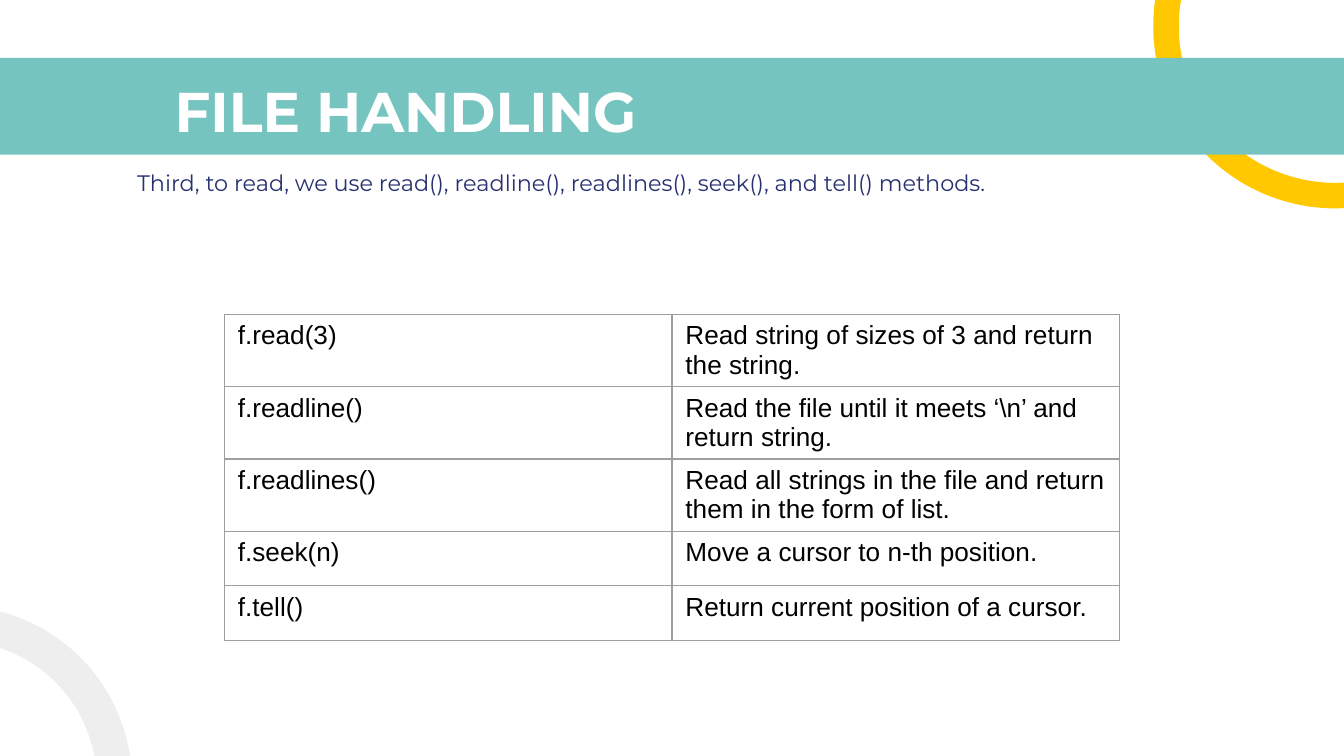
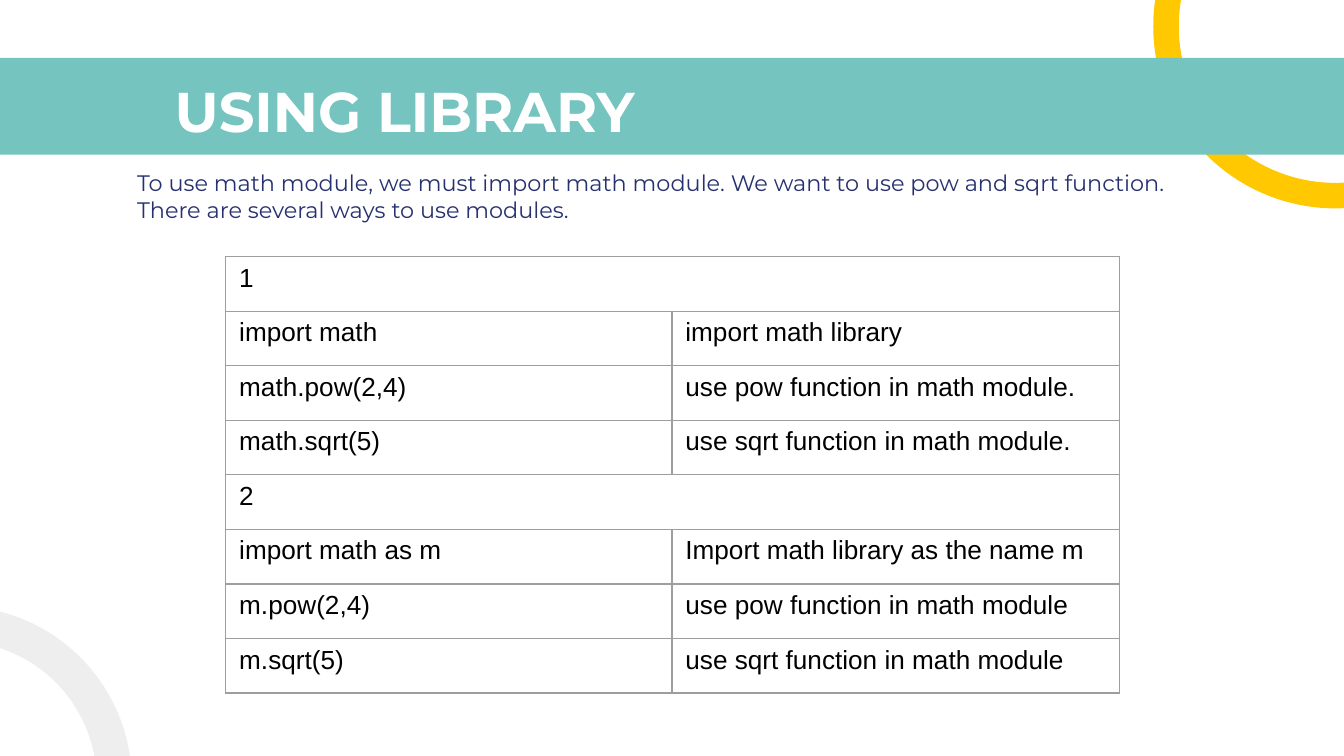
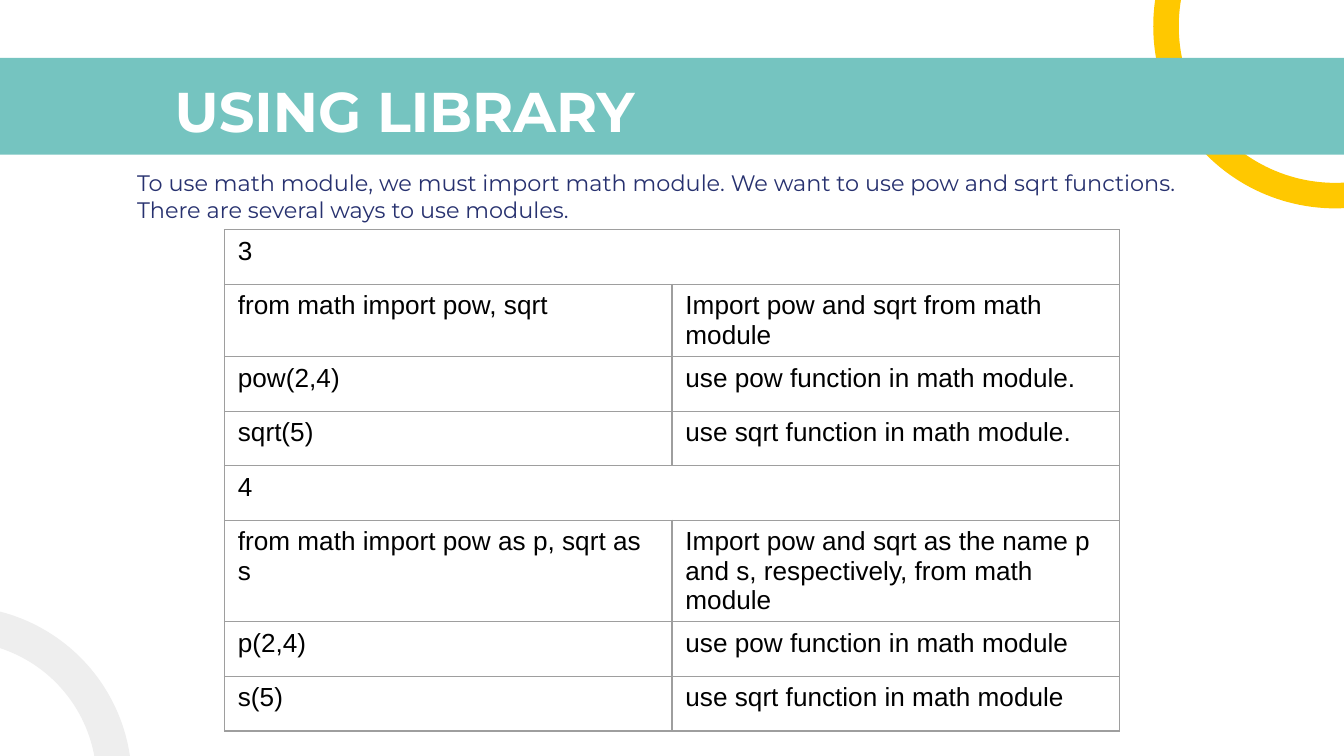
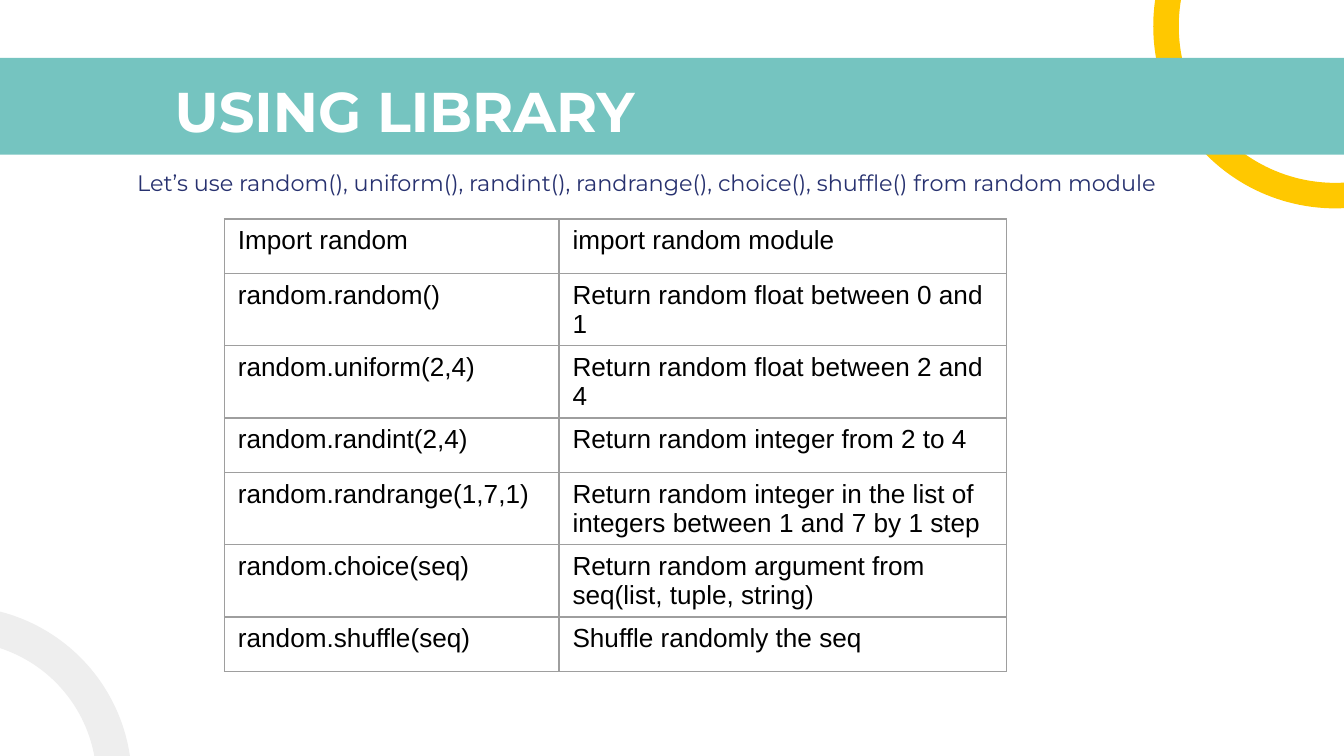
"""Build four slides on file handling and library use, with one table each."""
import pptx
import pptx.dml.color
import pptx.enum.shapes
import pptx.enum.text
import pptx.oxml
import pptx.oxml.ns
import pptx.util

Inches = pptx.util.Inches
Pt = pptx.util.Pt
KIND = pptx.enum.shapes.MSO_SHAPE

TEAL, GOLD, PALE = "75C4C0", "FFC800", "EEEEEE"
WHITE, NAVY, BLACK, GREY = "FFFFFF", "27316F", "000000", "9E9E9E"
HEAD = {"name": "Montserrat", "size": 30, "shade": WHITE, "bold": True}
LEAD = {"name": "Montserrat", "size": 12, "shade": NAVY}
CELL = {"name": "Arial", "size": 14, "shade": BLACK}
WIDTH, HEIGHT = 10, 10 * 9 / 16
TITLE_BOX = (1.2, 0.47, 8.46, 0.63)
LEAD_BOX = (0.77, 1.16, 8.46, 0.55)
ROW = 3.25 / 8

DECOR = [
    (KIND.BLOCK_ARC, (8.58, -1.16, 2.71, 2.71), GOLD, 180, (159.04, 7.23, 0.07)),
    (KIND.RECTANGLE, (-0.17, 0.43, 10.34, 0.72), TEAL, 0, ()),
    (KIND.BLOCK_ARC, (-1.63, 4.51, 2.61, 2.61), PALE, 74.3, (125.82, 166.85, 0.1)),
]

SLIDES = [
    {
        "title": "FILE HANDLING",
        "lead": ["Third, to read, we use read(), readline(), readlines(), seek(), and tell() methods."],
        "at": (1.67, 2.34),
        "cols": (3.33, 3.33),
        "rows": [
            ("f.read(3)", "Read string of sizes of 3 and return the string."),
            ("f.readline()", "Read the file until it meets ‘\\n’ and return string."),
            ("f.readlines()", "Read all strings in the file and return them in the form of list."),
            ("f.seek(n)", "Move a cursor to n-th position."),
            ("f.tell()", "Return current position of a cursor."),
        ],
    },
    {
        "title": "USING LIBRARY",
        "lead": [
            "To use math module, we must import math module. We want to use pow and sqrt function.",
            "There are several ways to use modules.",
        ],
        "at": (1.68, 1.91),
        "cols": (3.32, 3.33),
        "rows": [
            ("1",),
            ("import math", "import math library"),
            ("math.pow(2,4)", "use pow function in math module."),
            ("math.sqrt(5)", "use sqrt function in math module."),
            ("2",),
            ("import math as m", "Import math library as the name m"),
            ("m.pow(2,4)", "use pow function in math module"),
            ("m.sqrt(5)", "use sqrt function in math module"),
        ],
    },
    {
        "title": "USING LIBRARY",
        "lead": [
            "To use math module, we must import math module. We want to use pow and sqrt functions.",
            "There are several ways to use modules.",
        ],
        "at": (1.67, 1.71),
        "cols": (3.33, 3.33),
        "rows": [
            ("3",),
            ("from math import pow, sqrt", "Import pow and sqrt from math module"),
            ("pow(2,4)", "use pow function in math module."),
            ("sqrt(5)", "use sqrt function in math module."),
            ("4",),
            ("from math import pow as p, sqrt as s",
             "Import pow and sqrt as the name p and s, respectively, from math module"),
            ("p(2,4)", "use pow function in math module"),
            ("s(5)", "use sqrt function in math module"),
        ],
    },
    {
        "title": "USING LIBRARY",
        "lead": ["Let’s use random(), uniform(), randint(), randrange(), choice(), shuffle() from random module"],
        "at": (1.67, 1.63),
        "cols": (2.49, 3.33),
        "rows": [
            ("Import random", "import random module"),
            ("random.random()", "Return random float between 0 and 1"),
            ("random.uniform(2,4)", "Return random float between 2 and 4"),
            ("random.randint(2,4)", "Return random integer from 2 to 4"),
            ("random.randrange(1,7,1)",
             "Return random integer in the list of integers between 1 and 7 by 1 step"),
            ("random.choice(seq)", "Return random argument from seq(list, tuple, string)"),
            ("random.shuffle(seq)", "Shuffle randomly the seq"),
        ],
    },
]


def paint(target, shade):
    target.rgb = pptx.dml.color.RGBColor.from_string(shade)


def style(frame, name, size, shade, bold=False):
    for para in frame.paragraphs:
        para.alignment = pptx.enum.text.PP_ALIGN.LEFT
        para.space_before = Pt(0)
        para.font.name = name
        para.font.size = Pt(size)
        para.font.bold = bold
        paint(para.font.color, shade)


def add_decor(slide, layout):
    for depth, (kind, box, shade, turn, bends) in enumerate(DECOR):
        shape = slide.shapes.add_shape(kind, *map(Inches, box))
        shape.shadow.inherit = False
        shape.rotation = turn
        shape.fill.solid()
        paint(shape.fill.fore_color, shade)
        shape.line.fill.background()
        for spot, value in enumerate(bends):
            shape.adjustments[spot] = value
        layout.element.cSld.spTree.insert(2 + depth, shape.element)


def fill_box(shape, box, text, look):
    shape.left, shape.top, shape.width, shape.height = map(Inches, box)
    frame = shape.text_frame
    frame.text = text
    frame.word_wrap = True
    frame.auto_size = pptx.enum.text.MSO_AUTO_SIZE.NONE
    frame.vertical_anchor = pptx.enum.text.MSO_ANCHOR.TOP
    frame.margin_left = frame.margin_right = Inches(0.1)
    frame.margin_top = frame.margin_bottom = Inches(0.1)
    style(frame, **look)
    return frame


def hang(frame):
    for para in frame.paragraphs:
        props = para._p.get_or_add_pPr()
        props.set("marL", str(Inches(0.5)))
        props.set("indent", str(Inches(-0.35)))
        props.insert_element_before(
            pptx.oxml.parse_xml(f'<a:buNone {pptx.oxml.ns.nsdecls("a")}/>'),
            "a:tabLst", "a:defRPr", "a:extLst")


def edge(cell):
    props = cell._tc.get_or_add_tcPr()
    for side in "LRTB":
        props.append(pptx.oxml.parse_xml(
            f'<a:ln{side} {pptx.oxml.ns.nsdecls("a")} w="{Pt(0.75)}"><a:solidFill>'
            f'<a:srgbClr val="{GREY}"/></a:solidFill></a:ln{side}>'))
    cell.fill.background()


def add_grid(slide, at, cols, rows):
    size = (sum(cols), ROW * len(rows))
    frame = slide.shapes.add_table(len(rows), len(cols), *map(Inches, at + size))
    grid = frame.table
    grid.first_row = grid.horz_banding = False
    for col, width in zip(grid.columns, cols):
        col.width = Inches(width)
    for down, row in enumerate(rows):
        grid.rows[down].height = Inches(ROW)
        for across in range(len(cols)):
            edge(grid.cell(down, across))
        for across, text in enumerate(row):
            cell = grid.cell(down, across)
            cell.text = text
            style(cell.text_frame, **CELL)
        if len(row) == 1:
            grid.cell(down, 0).merge(grid.cell(down, len(cols) - 1))


def build():
    deck = pptx.Presentation()
    deck.slide_width, deck.slide_height = Inches(WIDTH), Inches(HEIGHT)
    layout = deck.slide_layouts[1]
    for item in SLIDES:
        slide = deck.slides.add_slide(layout)
        if len(deck.slides) == 1:
            add_decor(slide, layout)
        fill_box(slide.shapes.title, TITLE_BOX, item["title"], HEAD)
        hang(fill_box(slide.placeholders[1], LEAD_BOX, "\n".join(item["lead"]), LEAD))
        add_grid(slide, item["at"], item["cols"], item["rows"])
    deck.save("out.pptx")


build()
